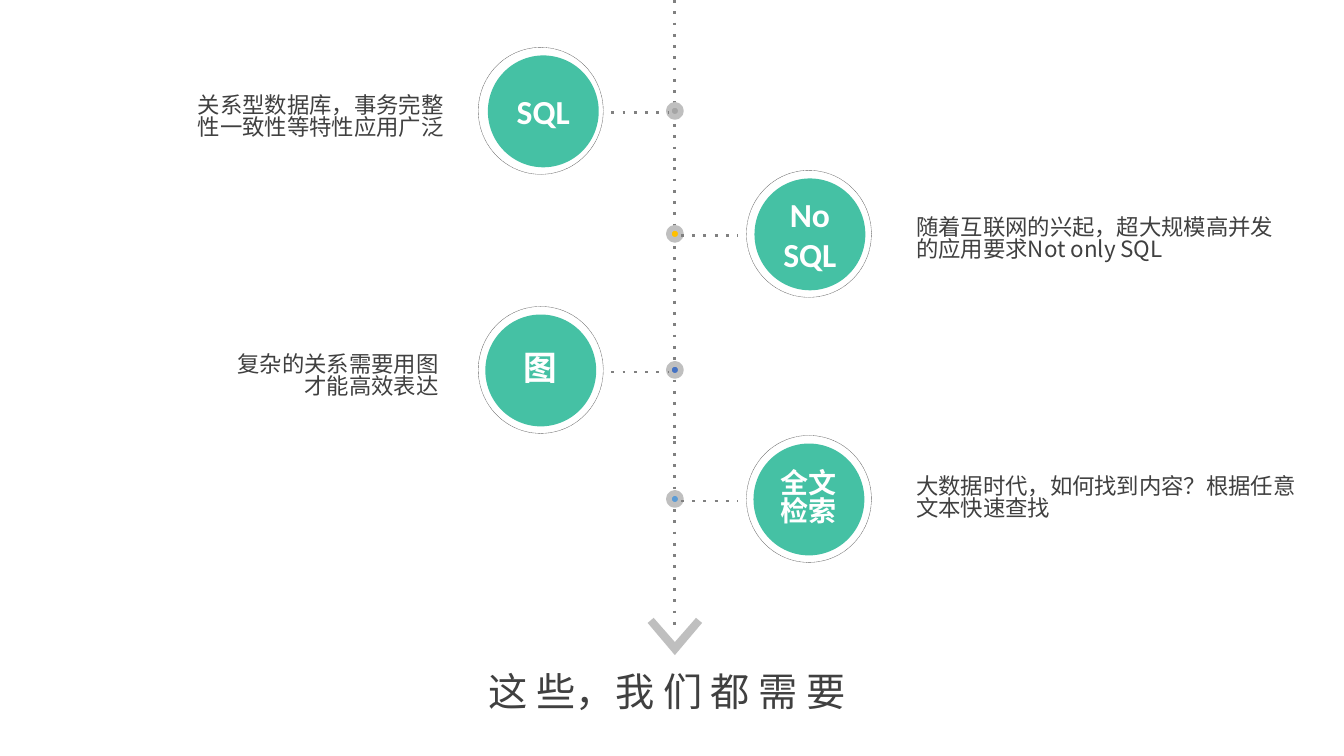
import dataclasses
import itertools

import pptx
import pptx.dml.color
import pptx.enum.dml
import pptx.enum.shapes
import pptx.enum.text
import pptx.oxml.ns
import pptx.util

ALIGN = pptx.enum.text.PP_ALIGN
CELL = 0.1  # grid cell in inches: 133.3 columns by 75 rows


@dataclasses.dataclass(frozen=True)
class Theme:
    disc: str = "45C1A4"
    ring: str = "666666"
    dotted: str = "808080"
    grey: str = "BFBFBF"
    text: str = "404040"
    white: str = "FFFFFF"
    latin: str = "Calibri"
    cjk: str = "Noto Sans CJK SC"
    body_size: int = 16
    label_size: int = 24
    small_label_size: int = 20
    title_size: int = 28
    cjk_spacing: float = 0.83


def grid(*cells):
    return [pptx.util.Inches(c * CELL) for c in cells]


def rgb(colour):
    return pptx.dml.color.RGBColor.from_string(colour)


def add_xml(parent, tag, **attrs):
    child = parent.makeelement(pptx.oxml.ns.qn(tag), attrs)
    parent.append(child)


class TimelineSlide:
    def __init__(self, prs, theme):
        self.theme = theme
        self.s = prs.slides.add_slide(prs.slide_layouts[5])

    def outline(self, sp, colour, width, dash=None):
        sp.line.color.rgb = rgb(colour)
        sp.line.width = pptx.util.Pt(width)
        if dash:
            ln = sp._element.spPr.find(pptx.oxml.ns.qn("a:ln"))
            add_xml(ln, "a:prstDash", val=dash)

    def set_text(self, sp, text, size, font, colour, align, bold=False):
        tf = sp.text_frame
        tf.text = text
        tf.word_wrap = False
        tf.auto_size = pptx.enum.text.MSO_AUTO_SIZE.NONE
        tf.vertical_anchor = pptx.enum.text.MSO_ANCHOR.MIDDLE
        for p in tf.paragraphs:
            p.alignment = align
            p.line_spacing = self.theme.cjk_spacing if font == self.theme.cjk else 1.0
            for r in p.runs:
                r.font.size = pptx.util.Pt(size)
                r.font.bold = bold
                r.font.color.rgb = rgb(colour)
                r.font.name = font
                add_xml(r._r.get_or_add_rPr(), "a:ea", typeface=font)

    def circle(self, x, y, width, height, fill=None):
        """Add an ellipse centred on column x and row y."""
        sp = self.s.shapes.add_shape(
            pptx.enum.shapes.MSO_SHAPE.OVAL,
            *grid(x - width / 2, y - height / 2, width, height))
        sp.shadow.inherit = False
        if fill:
            sp.fill.solid()
            sp.fill.fore_color.rgb = rgb(fill)
            sp.line.fill.background()
        else:
            sp.fill.background()
        return sp

    def badge(self, x, y, label, size, font, shift):
        """Add a labelled disc, moved by shift columns inside its thin ring."""
        disc = self.circle(x + shift, y + 0.05, 11, 11.1, self.theme.disc)
        disc.text_frame.margin_left = disc.text_frame.margin_right = 0
        self.set_text(disc, label, size, font, self.theme.white, ALIGN.CENTER, True)
        self.outline(self.circle(x, y, 12.4, 12.6), self.theme.ring, 0.25, "sysDash")

    def dotted_line(self, x1, y1, x2, y2):
        line = self.s.shapes.add_connector(
            pptx.enum.shapes.MSO_CONNECTOR.STRAIGHT, *grid(x1, y1, x2, y2))
        self.outline(line, self.theme.dotted, 2, "dot")
        add_xml(line._element.spPr, "a:effectLst")

    def node(self, x, y, colour):
        self.outline(self.circle(x, y, 1.2, 1.2, colour), self.theme.grey, 4)

    def description(self, x, y, width, text, align):
        """Add a two-line text whose outer edge is column x and middle is row y."""
        left = x - width if align == ALIGN.RIGHT else x
        sp = self.s.shapes.add_textbox(*grid(left, y - 3.2, width, 6.4))
        self.set_text(sp, text, self.theme.body_size, self.theme.cjk,
                      self.theme.text, align)

    def arrowhead(self, x, tip):
        offsets = [(2.7, -3.2), (2.1, -3.7), (0, -1.3), (-2.1, -3.7), (-2.7, -3.2)]
        builder = self.s.shapes.build_freeform(*grid(x, tip), scale=1.0)
        builder.add_line_segments([grid(x + dx, tip + dy) for dx, dy in offsets])
        sp = builder.convert_to_shape()
        sp.shadow.inherit = False
        sp.fill.solid()
        sp.fill.fore_color.rgb = rgb(self.theme.grey)
        sp.line.fill.background()

    def title(self, x, y, width, height, text):
        sp = self.s.shapes.title
        sp.left, sp.top, sp.width, sp.height = grid(x, y, width, height)
        self.set_text(sp, text, self.theme.title_size, self.theme.cjk,
                      self.theme.text, ALIGN.LEFT)


def main():
    theme = Theme()
    prs = pptx.Presentation()
    prs.slide_width, prs.slide_height = grid(133.33, 75)
    slide = TimelineSlide(prs, theme)

    axis = 66.95
    for top, bottom in itertools.pairwise([0, 16.6, 27.6, 43.8, 62.6]):
        slide.dotted_line(axis, top, axis, bottom)

    big, small = theme.label_size, theme.small_label_size
    # side, row, node colour, label, size, font, disc shift, text edge, text row, text width, text
    stages = [
        (-1, 11, "A5A5A5", "SQL", big, theme.latin, 0.25, 45, 11.7, 26.7,
         "关系型数据库，事务完整\n性一致性等特性应用广泛"),
        (1, 23.2, "FFC000", "No\nSQL", big, theme.latin, 0.1, 89.9, 23.8, 37.9,
         "随着互联网的兴起，超大规模高并发\n的应用要求Not only SQL"),
        (-1, 36.7, "4472C4", "图", big, theme.cjk, 0, 44.5, 37.4, 22.2,
         "复杂的关系需要用图\n才能高效表达"),
        (1, 49.5, "5B9BD5", "全文\n检索", small, theme.cjk, 0, 89.9, 49.5, 40.2,
         "大数据时代，如何找到内容？根据任意\n文本快速查找"),
    ]
    for side, row, colour, label, size, font, shift, edge, text_row, width, text in stages:
        slide.badge(axis + side * 13.3, row, label, size, font, shift)
        slide.node(axis, row, colour)
        start, end = sorted([axis + side * 0.6, axis + side * 6.3])
        slide.dotted_line(start, row + 0.2, end, row + 0.2)
        slide.description(edge, text_row, width, text,
                          ALIGN.RIGHT if side < 0 else ALIGN.LEFT)

    slide.title(47.5, 66.1, 39.2, 5.7, "这 些，我 们 都 需 要")
    slide.arrowhead(axis, 65)
    prs.save("out.pptx")


if __name__ == "__main__":
    main()
